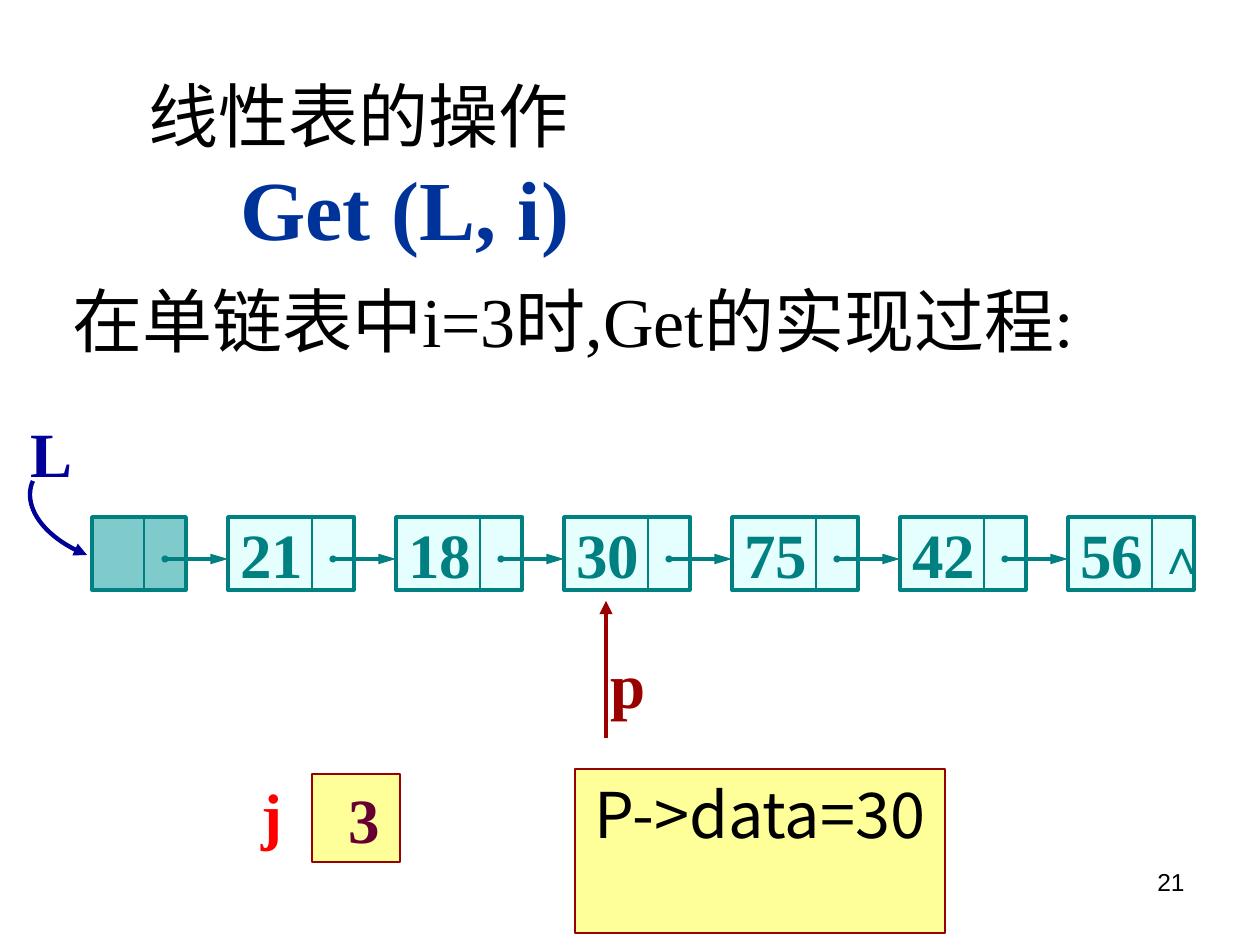
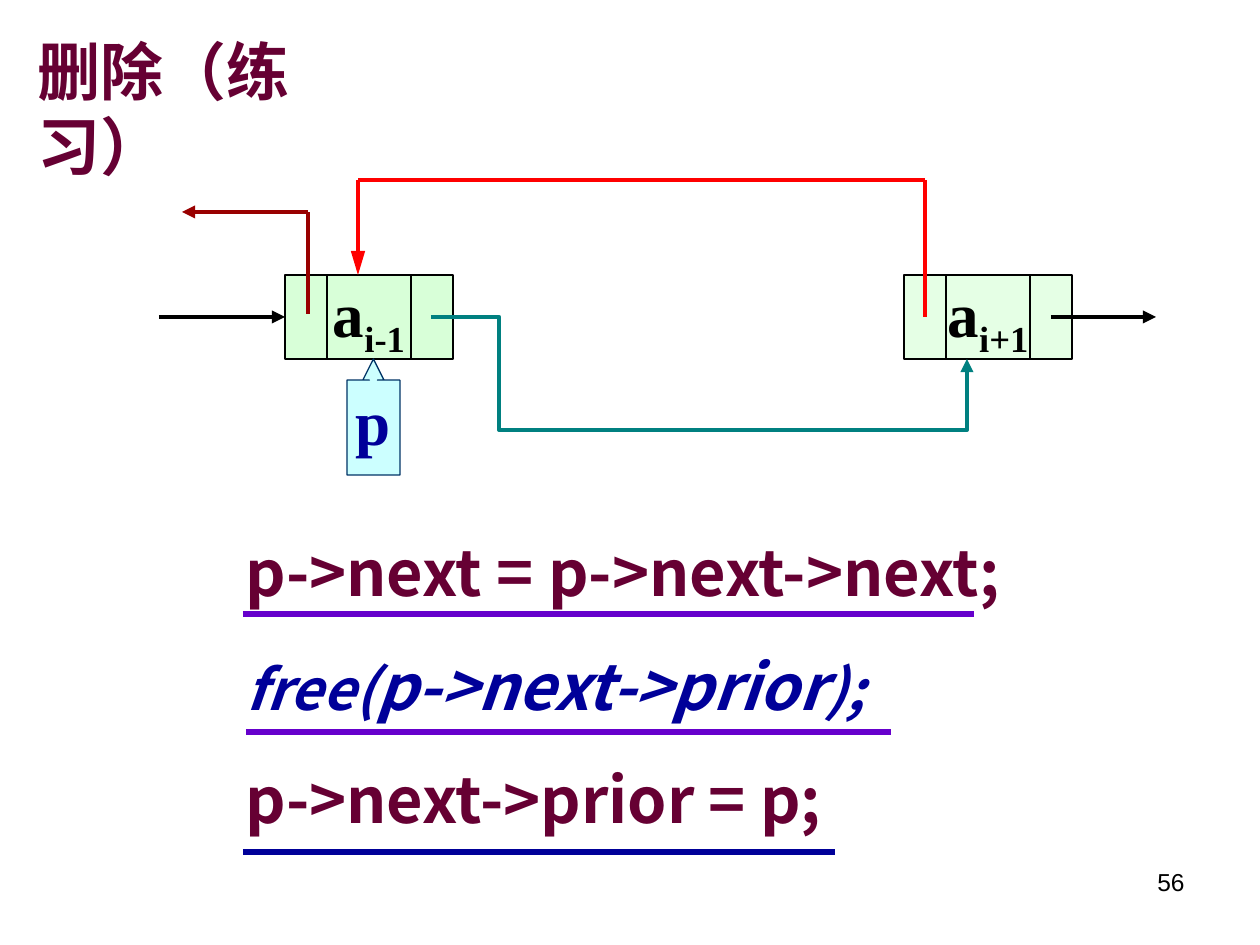
import dataclasses
import itertools

import pptx
import pptx.dml.color
import pptx.enum.shapes
import pptx.enum.text
import pptx.oxml.ns
import pptx.util
from lxml import etree

SHAPES = pptx.enum.shapes.MSO_SHAPE
CONNECTORS = pptx.enum.shapes.MSO_CONNECTOR
ALIGN = pptx.enum.text.PP_ALIGN
ANCHOR = pptx.enum.text.MSO_ANCHOR
qn = pptx.oxml.ns.qn
EMU_PER_PX = 914400 / 126


@dataclasses.dataclass(frozen=True)
class Theme:
    serif: str = "Times New Roman"
    cjk: str = "Noto Sans CJK SC"
    sans: str = "Arial"
    black: str = "000000"
    navy: str = "000099"
    blue: str = "003399"
    teal: str = "008080"
    head_fill: str = "009999"
    cyan: str = "CCFFFF"
    green: str = "CCFFCC"
    yellow: str = "FFFF99"
    wine: str = "660033"
    maroon: str = "990000"
    red: str = "FF0000"
    violet: str = "6600CC"
    callout_edge: str = "003366"
    get_size: int = 48
    heading: int = 40
    body: int = 36
    small_code: int = 32
    null_mark: int = 28
    page: int = 14


T = Theme()


def px(n):
    return pptx.util.Emu(round(n * EMU_PER_PX))


def rgb(color):
    return pptx.dml.color.RGBColor.from_string(color)


def set_line(sp, color, width):
    sp.line.color.rgb = rgb(color)
    sp.line.width = pptx.util.Pt(width)


def add_end(sp, end, kind, length="med", width="med"):
    """Put an arrowhead on a line; end is headEnd (start) or tailEnd (finish)."""
    ln = sp._element.spPr.find(qn("a:ln"))
    etree.SubElement(ln, qn("a:" + end), type=kind, w=width, len=length)


def add_line(slide, start, end, color, width, kind=CONNECTORS.STRAIGHT):
    sp = slide.shapes.add_connector(kind, *map(px, start + end))
    set_line(sp, color, width)
    etree.SubElement(sp._element.spPr, qn("a:effectLst"))
    return sp


def add_arrow(slide, start, end, color, width, length="med"):
    sp = add_line(slide, start, end, color, width)
    add_end(sp, "tailEnd", "triangle", length)
    return sp


def add_route(slide, points, color, width, length="med"):
    """Draw straight legs through the points, with an arrowhead on the last."""
    *legs, last = itertools.pairwise(points)
    for start, end in legs:
        add_line(slide, start, end, color, width)
    add_arrow(slide, *last, color, width, length)


def add_box(slide, box, fill, line, width, alpha=100, kind=SHAPES.RECTANGLE):
    sp = slide.shapes.add_shape(kind, *map(px, box))
    sp.shadow.inherit = False
    sp.fill.solid()
    sp.fill.fore_color.rgb = rgb(fill)
    if alpha < 100:
        clr = sp._element.spPr.find(qn("a:solidFill"))[0]
        etree.SubElement(clr, qn("a:alpha"), val=str(alpha * 1000))
    set_line(sp, line, width)
    return sp


def style_frame(sp, wrap=True, anchor=ANCHOR.TOP):
    tf = sp.text_frame
    tf.word_wrap = wrap
    tf.vertical_anchor = anchor
    return tf


def style_paragraph(p, size, color, font=T.serif, bold=True, italic=False,
                    align=ALIGN.LEFT, spacing=None, indent=0):
    p.font.size = pptx.util.Pt(size)
    p.font.color.rgb = rgb(color)
    p.font.name = font
    p.font.bold = bold
    p.font.italic = italic
    p.alignment = align
    if spacing:
        p.line_spacing = spacing
    if indent:
        p._p.get_or_add_pPr().set("marL", str(px(indent)))


def write(sp, text, size, color, wrap=True, anchor=ANCHOR.TOP, **style):
    p = style_frame(sp, wrap, anchor).paragraphs[0]
    p.add_run().text = text
    style_paragraph(p, size, color, **style)
    return p


def add_text(slide, box, text, size, color, **style):
    sp = slide.shapes.add_textbox(*map(px, box))
    return write(sp, text, size, color, **style)


def add_paragraphs(slide, box, paragraphs):
    """Each paragraph is its runs, as (text, size or None), and its style."""
    sp = slide.shapes.add_textbox(*map(px, box))
    tf = style_frame(sp)
    for i, (runs, style) in enumerate(paragraphs):
        p = tf.add_paragraph() if i else tf.paragraphs[0]
        for text, size in runs:
            r = p.add_run()
            r.text = text
            if size:
                r.font.size = pptx.util.Pt(size)
        style_paragraph(p, **style)


def add_page_number(slide, number):
    add_text(slide, (903, 861, 294, 65), str(number), T.page, T.black,
             font=T.sans, bold=False, align=ALIGN.RIGHT)


def add_list_node(slide, x, width, divider, fill, value=None):
    top, height = 517, 73
    sp = add_box(slide, (x, top, width, height), fill, T.teal, 2, alpha=50)
    if value:
        write(sp, value, T.body, T.teal, anchor=ANCHOR.MIDDLE)
    add_line(slide, (x + divider, top), (x + divider, top + height), T.teal, 0.75)


def add_node_link(slide, x):
    """Draw the pointer that arrives at the node whose left edge is x."""
    sp = add_line(slide, (x - 63, 559), (x, 559), T.teal, 2)
    add_end(sp, "headEnd", "oval", "sm", "sm")
    add_end(sp, "tailEnd", "triangle", "lg")


def add_curved_arrow(slide, points, color, width):
    """Draw a cubic curve through its four control points."""
    steps = 24
    curve = []
    for i in range(steps + 1):
        t = i / steps
        weights = ((1 - t) ** 3, 3 * t * (1 - t) ** 2, 3 * t * t * (1 - t), t ** 3)
        curve.append(tuple(px(sum(w * c for w, c in zip(weights, axis)))
                           for axis in zip(*points)))
    builder = slide.shapes.build_freeform(*curve[0], scale=1.0)
    builder.add_line_segments(curve[1:], close=False)
    sp = builder.convert_to_shape()
    sp.shadow.inherit = False
    sp.fill.background()
    set_line(sp, color, width)
    add_end(sp, "tailEnd", "triangle")


def add_double_node(slide, x, index, alpha):
    top, width, height = 275, 168, 84
    sp = add_box(slide, (x, top, width, height), T.green, T.black, 0.75, alpha)
    p = write(sp, "a", T.body, T.black, anchor=ANCHOR.MIDDLE, align=ALIGN.CENTER)
    r = p.add_run()
    r.text = index
    r._r.get_or_add_rPr().set("baseline", "-25000")
    for divider in (x + 42, x + 126):
        add_line(slide, (divider, top), (divider, top + height), T.black, 0.75)


def add_next_link(slide):
    sp = add_line(slide, (431, 317), (967, 359), T.teal, 2.5, CONNECTORS.ELBOW)
    geom = sp._element.spPr.find(qn("a:prstGeom"))
    geom.set("prst", "bentConnector4")
    av = geom.find(qn("a:avLst"))
    for name, value in (("adj1", 12700), ("adj2", 268800)):
        etree.SubElement(av, qn("a:gd"), name=name, fmla=f"val {value}")
    add_end(sp, "tailEnd", "triangle")


def build_get_slide(slide):
    heading = dict(size=T.heading, color=T.black, bold=False)
    add_paragraphs(slide, (60, 66, 1166, 320), [
        ([("线性表的操作", None)], dict(heading, font=T.cjk, indent=76)),
        ([("Get (L, i)", None)], dict(size=T.get_size, color=T.blue, indent=168)),
        ([("在单链表中i=3时,Get的实现过程:", None)], dict(heading, spacing=1.25)),
    ])

    add_text(slide, (18, 408, 67, 88), "L", T.body, T.navy, wrap=False)
    add_curved_arrow(slide, [(33, 481), (22, 505), (42, 537), (87, 555)], T.navy, 2.5)

    add_list_node(slide, 92, 94, 52, T.head_fill)
    first, pitch = 228, 168
    for i, value in enumerate(("21", "18", "30", "75", "42", "56")):
        x = first + i * pitch
        add_list_node(slide, x, 126, 84, T.cyan, value)
        add_node_link(slide, x)
    add_text(slide, (1145, 519, 64, 72), "∧", T.null_mark, T.teal, wrap=False)

    add_arrow(slide, (606, 738), (606, 601), T.maroon, 2.5)
    add_text(slide, (598, 639, 60, 88), "p", T.body, T.maroon, wrap=False)

    add_text(slide, (249, 769, 45, 88), "j", T.body, T.red, wrap=False)
    counter = add_box(slide, (312, 774, 88, 88), T.yellow, T.maroon, 0.75)
    write(counter, "3", T.body, T.wine, align=ALIGN.CENTER, indent=16)
    result = add_box(slide, (575, 769, 370, 164), T.yellow, T.maroon, 0.75)
    write(result, "P->data=30", T.body, T.black, font=T.cjk, bold=False,
          align=ALIGN.CENTER)
    add_page_number(slide, 21)


def build_delete_slide(slide):
    add_text(slide, (25, 26, 397, 164), "删除（练习）", T.body, T.wine)

    add_double_node(slide, 285, "i-1", alpha=75)
    add_double_node(slide, 904, "i+1", alpha=50)
    add_arrow(slide, (159, 317), (285, 317), T.black, 2.5)
    add_arrow(slide, (1051, 317), (1156, 317), T.black, 2.5)
    add_next_link(slide)
    add_route(slide, [(308, 314), (308, 212), (182, 212)], T.maroon, 2.5)
    add_route(slide, [(925, 317), (925, 180), (358, 180), (358, 275)],
              T.red, 2.75, "lg")

    callout = add_box(slide, (347, 359, 53, 116), T.cyan, T.callout_edge, 0.75,
                      kind=SHAPES.UP_ARROW_CALLOUT)
    for i, value in enumerate((0.15, 0.2, 0.399, 0.928)):
        callout.adjustments[i] = value
    write(callout, "p", T.body, T.navy, wrap=False, anchor=ANCHOR.MIDDLE,
          align=ALIGN.CENTER, spacing=0.8)

    code = dict(size=T.body, color=T.wine, font=T.cjk, spacing=1.5)
    add_paragraphs(slide, (233, 490, 840, 353), [
        ([("p->next = p->next->next;", None)], code),
        ([("free(", T.small_code), ("p->next->prior", None), (");", T.small_code)],
         dict(code, color=T.navy, italic=True)),
        ([("p->next->prior = p;", None)], code),
    ])
    for left, right, y, color in ((243, 974, 614, T.violet),
                                  (246, 891, 732, T.violet),
                                  (243, 835, 852, T.navy)):
        add_line(slide, (left, y), (right, y), color, 3)
    add_page_number(slide, 56)


def main():
    prs = pptx.Presentation()
    prs.slide_width, prs.slide_height = px(1260), px(945)
    blank = prs.slide_layouts[6]
    for build in (build_get_slide, build_delete_slide):
        build(prs.slides.add_slide(blank))
    prs.save("out.pptx")


if __name__ == "__main__":
    main()
